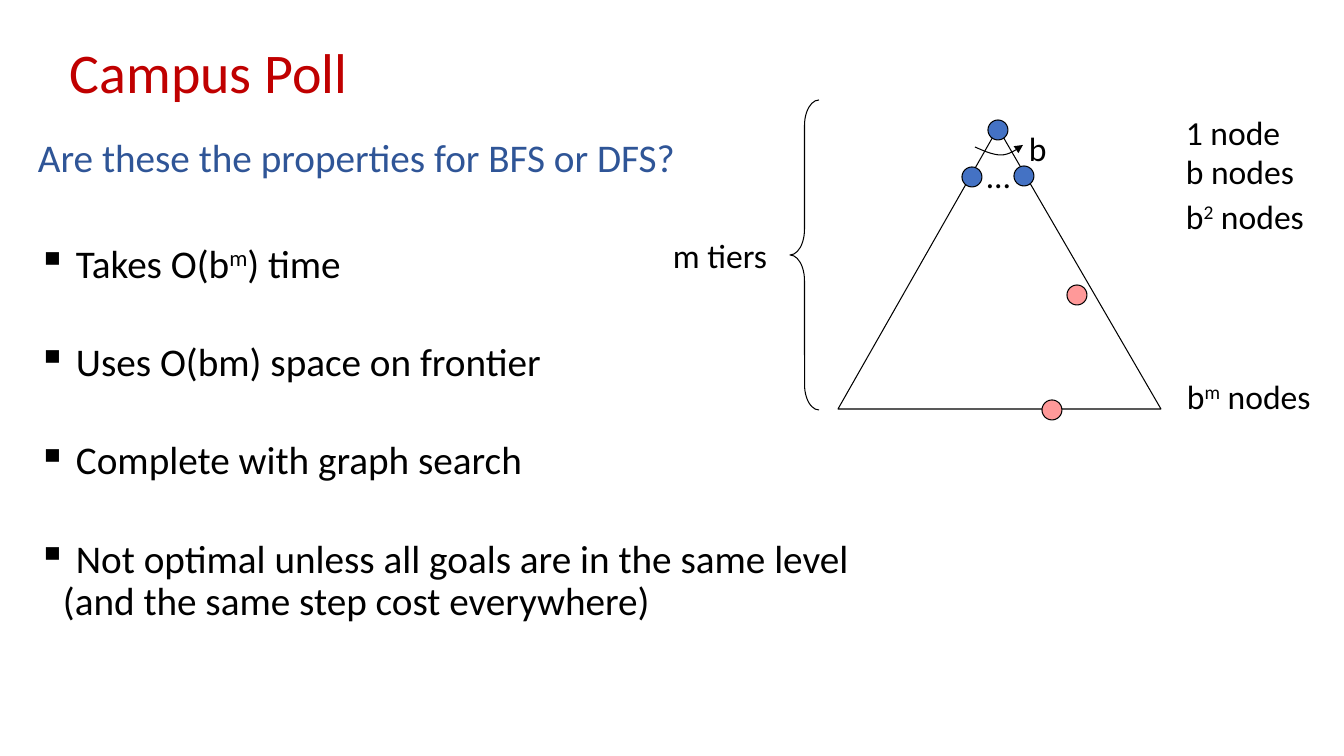
from pptx import Presentation
from pptx import util as u
from pptx.dml.color import RGBColor
from pptx.enum import shapes, text
from pptx.oxml.ns import qn
from lxml import etree

THEME = {
    "font": "Calibri",
    "title": 40, "body": 28, "label": 24,
    "red": "C00000", "navy": "2F5597", "black": "000000",
    "blue": "4472C4", "pink": "FF9999", "line": 0.75,
}
SCALE = 914400 / 100.8


def px(n):
    return u.Emu(round(n * SCALE))


def write(para, parts, size, color):
    """Add runs to a paragraph; every second part is raised."""
    for i, part in enumerate(parts):
        run = para.add_run()
        run.text = part
        look = {"name": THEME["font"], "size": u.Pt(THEME[size])}
        for key, val in look.items():
            setattr(run.font, key, val)
        run.font.color.rgb = RGBColor.from_string(THEME[color])
        if i % 2:
            run.font._element.set("baseline", "30000")


deck = Presentation()
deck.slide_width, deck.slide_height = px(1344), px(756)
slide = deck.slides.add_slide(deck.slide_layouts[6])
items = slide.shapes

# Title
box = items.add_textbox(px(60), px(40), px(1159), px(70))
frame = box.text_frame
frame.word_wrap = True
frame.vertical_anchor = text.MSO_ANCHOR.MIDDLE
frame.paragraphs[0].line_spacing = 0.9
write(frame.paragraphs[0], ["Campus Poll"], "title", "red")

# Question and bullets
box = items.add_textbox(px(28), px(134), px(891), px(521))
frame = box.text_frame
frame.word_wrap = True
frame.paragraphs[0].line_spacing = 0.9
write(frame.paragraphs[0], ["Are these the properties for BFS or DFS?"],
      "body", "navy")
points = [
    [" Takes O(b", "m", ") time"],
    [" Uses O(bm) space on frontier"],
    [" Complete with graph search"],
    [" Not optimal unless all goals are in the same level "
     "(and the same step cost everywhere)"],
]
for i, parts in enumerate(points):
    para = frame.add_paragraph()
    para.line_spacing = 0.9
    para.space_before = u.Pt(40 if i else 45)
    write(para, parts, "body", "black")
    props = para._p.get_or_add_pPr()
    props.set("marL", str(px(25)))
    props.set("indent", str(-px(25)))
    etree.SubElement(props, qn("a:buChar")).set("char", "▪")

# Tree outline, branch arrow and depth brace
edge = items.build_freeform(px(838), px(409), 1)
edge.add_line_segments([(px(1161), px(409)), (px(998), px(128))])
tree = edge.convert_to_shape()

curves = [[(975, 147), (984, 151), (993, 155), (1001, 155)],
          [(1001, 155), (1009, 155), (1016, 150), (1023, 145)]]
dots = []
for a, b, c, d in curves:
    for t in (n / 8 for n in range(1, 9)):
        s = 1 - t
        dots.append([px(s**3 * a[k] + 3 * s * s * t * b[k]
                        + 3 * s * t * t * c[k] + t**3 * d[k])
                     for k in (0, 1)])
arc = items.build_freeform(px(975), px(147), 1)
arc.add_line_segments(dots, close=False)
arrow = arc.convert_to_shape()

brace = items.add_shape(shapes.MSO_SHAPE.LEFT_BRACE,
                        px(790), px(100), px(29), px(310))
brace.adjustments[0] = 0.884

outlines = [(tree, None), (arrow, None), (brace, None)]

# Nodes, given by their centres
nodes = [(998, 130, "blue"), (972, 177, "blue"), (1024, 176, "blue"),
         (1052, 410, "pink"), (1077, 295, "pink")]
for x, y, color in nodes:
    node = items.add_shape(shapes.MSO_SHAPE.OVAL,
                           px(x - 10), px(y - 10), px(20), px(20))
    outlines.append((node, color))

# Common outline and fill
for shape, color in outlines:
    shape.shadow.inherit = False
    shape.line.width = u.Pt(THEME["line"])
    shape.line.color.rgb = RGBColor.from_string(THEME["black"])
    if color:
        shape.fill.solid()
        shape.fill.fore_color.rgb = RGBColor.from_string(THEME[color])
    else:
        shape.fill.background()
tip = etree.SubElement(arrow.line._get_or_add_ln(), qn("a:tailEnd"))
tip.set("type", "triangle")

# Labels
labels = [
    (977, 150, 30, ["…"]),
    (1019, 123, 33, ["b"]),
    (1176, 107, 140, ["1 node"]),
    (1176, 146, 140, ["b nodes"]),
    (1176, 191, 140, ["b", "2", " nodes"]),
    (1177, 371, 182, ["b", "m", " nodes"]),
    (663, 230, 139, ["m tiers"]),
]
for x, y, w, parts in labels:
    box = items.add_textbox(px(x), px(y), px(w), px(50))
    box.text_frame.word_wrap = True
    write(box.text_frame.paragraphs[0], parts, "label", "black")

deck.save("out.pptx")
